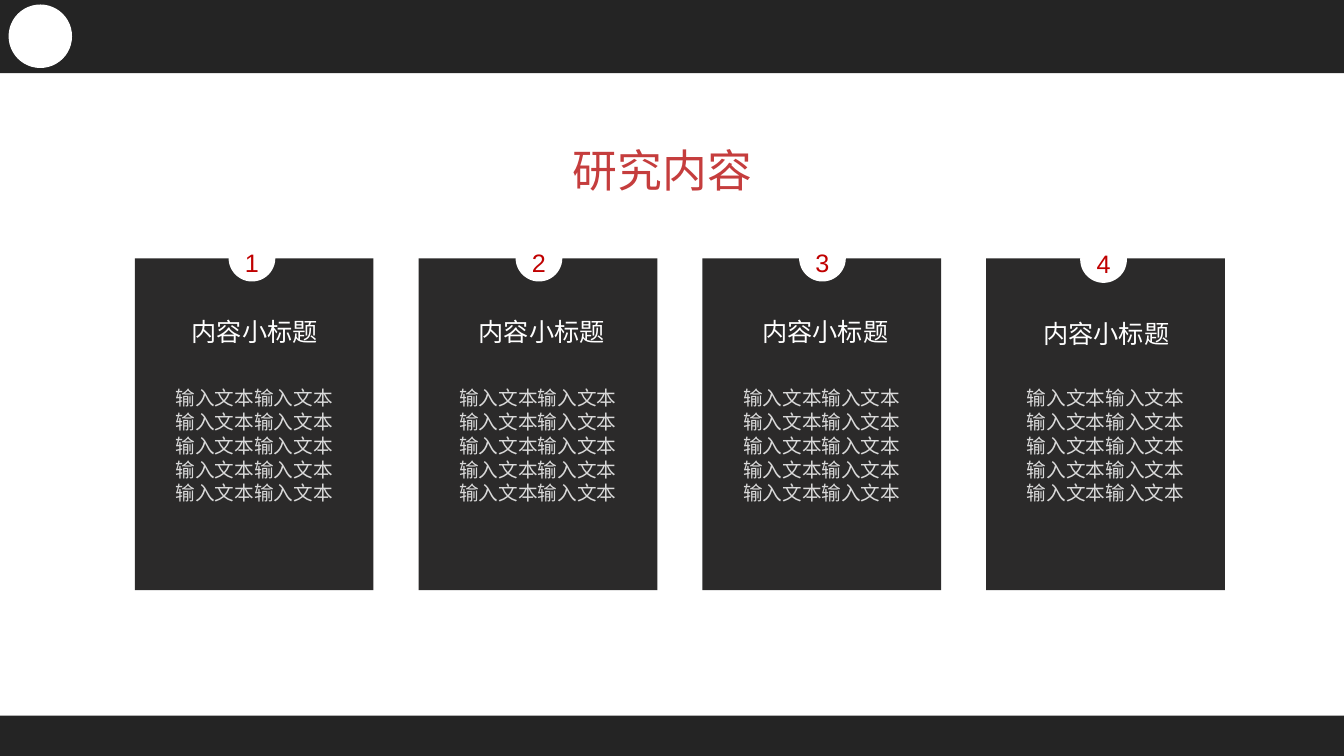
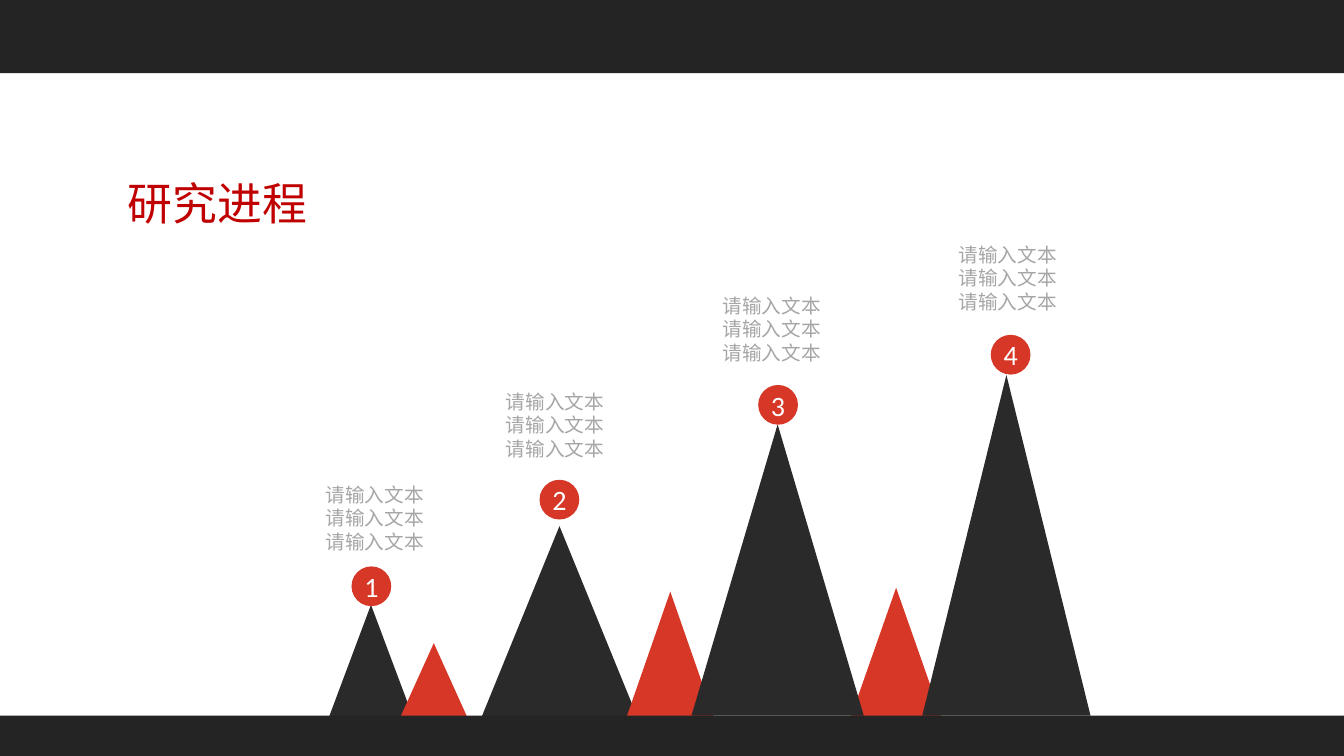
from dataclasses import dataclass

from lxml import etree
from pptx import Presentation
from pptx.dml.color import RGBColor
from pptx.enum.shapes import MSO_SHAPE
from pptx.enum.text import MSO_ANCHOR, MSO_AUTO_SIZE, PP_ALIGN
from pptx.oxml.ns import qn
from pptx.util import Pt

RECT, OVAL, PEAK = MSO_SHAPE.RECTANGLE, MSO_SHAPE.OVAL, MSO_SHAPE.ISOSCELES_TRIANGLE
CONNECTOR = MSO_SHAPE.FLOWCHART_CONNECTOR
LEFT, CENTER = PP_ALIGN.LEFT, PP_ALIGN.CENTER
TOP, MIDDLE = MSO_ANCHOR.TOP, MSO_ANCHOR.MIDDLE
TITLE_ONLY = 5


@dataclass(frozen=True)
class Style:
    """One kind of text; spacing is the exact line pitch in points."""
    font: str
    size: float
    color: str
    spacing: float = 0


@dataclass(frozen=True)
class Theme:
    band: str = "242424"
    dark: str = "2B2A2A"
    red: str = "D63726"
    white: str = "FFFFFF"
    content_title: Style = Style("Noto Sans CJK JP", 32, "C53D3D")
    progress_title: Style = Style("Noto Sans CJK JP", 32, "C00000")
    card_number: Style = Style("Arial", 18, "C00000")
    card_heading: Style = Style("Noto Sans CJK SC", 18, "FFFFFF")
    card_body: Style = Style("Noto Sans CJK SC", 14, "D9D9D9", 17)
    step_number: Style = Style("Calibri", 20, "FFFFFF")
    note: Style = Style("Noto Sans CJK SC", 14, "A6A6A6", 17)


THEME = Theme()
WIDTH, HEIGHT = 960, 540
BANDS = [(0, 0, WIDTH, 52.3), (0, 511.2, WIDTH, 28.8)]

CONTENT_TITLE = "研究内容"
CARD_BODY = ["输入文本输入文本"] * 5
# heading, badge centre, extra drop of badge and heading
CARDS = [
    ("内容小标题", 180, 0),
    ("内容小标题", 385, 0),
    ("内容小标题", 587.5, 0),
    ("内容小标题", 788.3, 1),
]
CARD_LEFT, CARD_TOP, CARD_WIDTH, CARD_HEIGHT = 96.3, 184.5, 170.5, 237
CARD_PITCH = 202.7
CARD_BADGE, CARD_BADGE_TOP = 33.4, 167.7

PROGRESS_TITLE = "研究进程"
NOTE = ["请输入文本"] * 3
NOTE_SIZE = (110, 52)
# fill, (left, top, width, height), from back to front
PEAKS = [
    (THEME.dark, (229.7, 432, 70.6, 94.3)),
    (THEME.red, (285.8, 459.4, 48.2, 53.3)),
    (THEME.red, (607, 419.8, 66.2, 94.3)),
    (THEME.dark, (340.6, 375.8, 118.1, 144.7)),
    (THEME.red, (445.7, 422.6, 66.2, 95)),
    (THEME.dark, (493.9, 303.1, 123.1, 208.1)),
    (THEME.dark, (658.8, 267.8, 120.2, 243.4)),
]
# badge left and top, note left and top
STEPS = [
    ((251.1, 404.6), (232.6, 344.5)),
    ((385.4, 342.7), (361.4, 278)),
    ((541.6, 275), (516.2, 209.5)),
    ((707.7, 239.2), (684.7, 173)),
]
STEP_BADGE = 28.4


def write(shape, lines, style, align=CENTER, anchor=MIDDLE, top_inset=0):
    frame = shape.text_frame
    frame.word_wrap = True
    frame.auto_size = MSO_AUTO_SIZE.NONE
    frame.vertical_anchor = anchor
    frame.margin_left = frame.margin_right = frame.margin_bottom = 0
    frame.margin_top = Pt(top_inset)
    for index, line in enumerate(lines):
        para = frame.add_paragraph() if index else frame.paragraphs[0]
        para.alignment = align
        if style.spacing:
            para.line_spacing = Pt(style.spacing)
        span = para.add_run()
        span.text = line
        span.font.size = Pt(style.size)
        span.font.color.rgb = RGBColor.from_string(style.color)
        span.font.name = style.font
        east_asian = etree.SubElement(span._r.get_or_add_rPr(), qn("a:ea"))
        east_asian.set("typeface", style.font)


def add_block(page, kind, place, fill, line=None):
    shape = page.shapes.add_shape(kind, *map(Pt, place))
    shape.shadow.inherit = False
    shape.fill.solid()
    shape.fill.fore_color.rgb = RGBColor.from_string(fill)
    if line:
        shape.line.color.rgb = RGBColor.from_string(line)
        shape.line.width = Pt(0.75)
    else:
        shape.line.fill.background()
    return shape


def add_label(page, place, lines, style, **layout):
    write(page.shapes.add_textbox(*map(Pt, place)), lines, style, **layout)


def add_page(deck, title, place, style, align):
    page = deck.slides.add_slide(deck.slide_layouts[TITLE_ONLY])
    box = page.shapes.title
    box.left, box.top, box.width, box.height = map(Pt, place)
    write(box, [title], style, align)
    return page


def add_bands(page):
    for place in BANDS:
        add_block(page, RECT, place, THEME.band)


def build_content(deck):
    page = add_page(deck, CONTENT_TITLE, (409, 98, 220, 46),
                    THEME.content_title, LEFT)
    add_bands(page)
    add_block(page, OVAL, (6.5, 3.6, 44.6, 44.6), THEME.white, THEME.white)
    for index, (heading, center, drop) in enumerate(CARDS):
        left = CARD_LEFT + index * CARD_PITCH
        card = add_block(page, RECT, (left, CARD_TOP, CARD_WIDTH, CARD_HEIGHT),
                         THEME.dark)
        write(card, CARD_BODY, THEME.card_body, anchor=TOP, top_inset=91)
        badge = add_block(page, CONNECTOR,
                          (center - CARD_BADGE / 2, CARD_BADGE_TOP + drop,
                           CARD_BADGE, CARD_BADGE), THEME.white)
        write(badge, [str(index + 1)], THEME.card_number, top_inset=6)
        add_label(page, (center - 54.5, 222.5 + drop, 113, 29), [heading],
                  THEME.card_heading)


def build_progress(deck):
    page = add_page(deck, PROGRESS_TITLE, (21.5, 114, 268, 62),
                    THEME.progress_title, CENTER)
    for fill, place in PEAKS:
        add_block(page, PEAK, place, fill)
    add_bands(page)
    for number, (badge_at, note_at) in enumerate(STEPS, 1):
        badge = add_block(page, OVAL, (*badge_at, STEP_BADGE, STEP_BADGE),
                          THEME.red)
        write(badge, [str(number)], THEME.step_number)
        add_label(page, (*note_at, *NOTE_SIZE), NOTE, THEME.note,
                  align=LEFT, anchor=TOP)


def main():
    deck = Presentation()
    deck.slide_width, deck.slide_height = Pt(WIDTH), Pt(HEIGHT)
    build_content(deck)
    build_progress(deck)
    deck.save("out.pptx")


if __name__ == "__main__":
    main()
